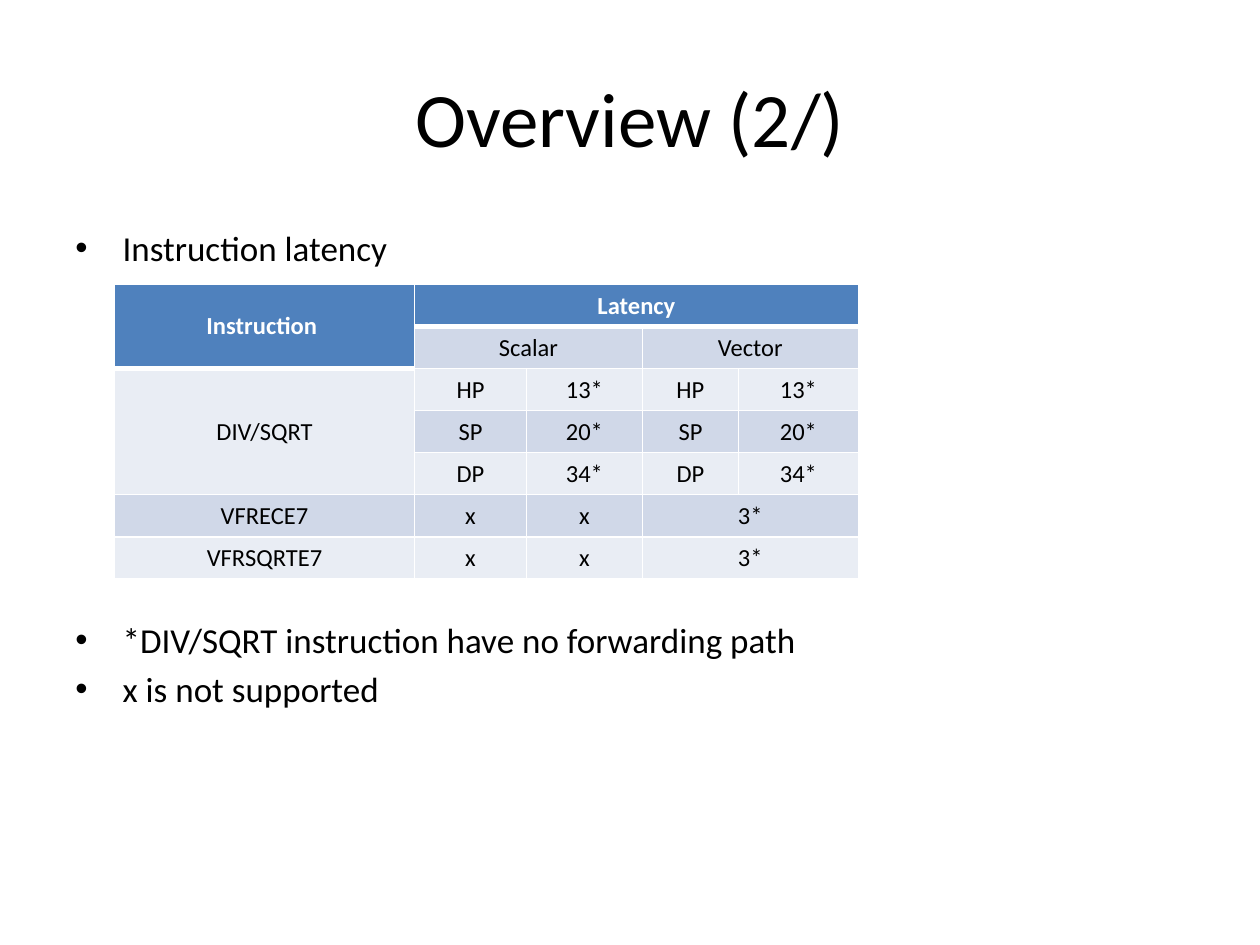
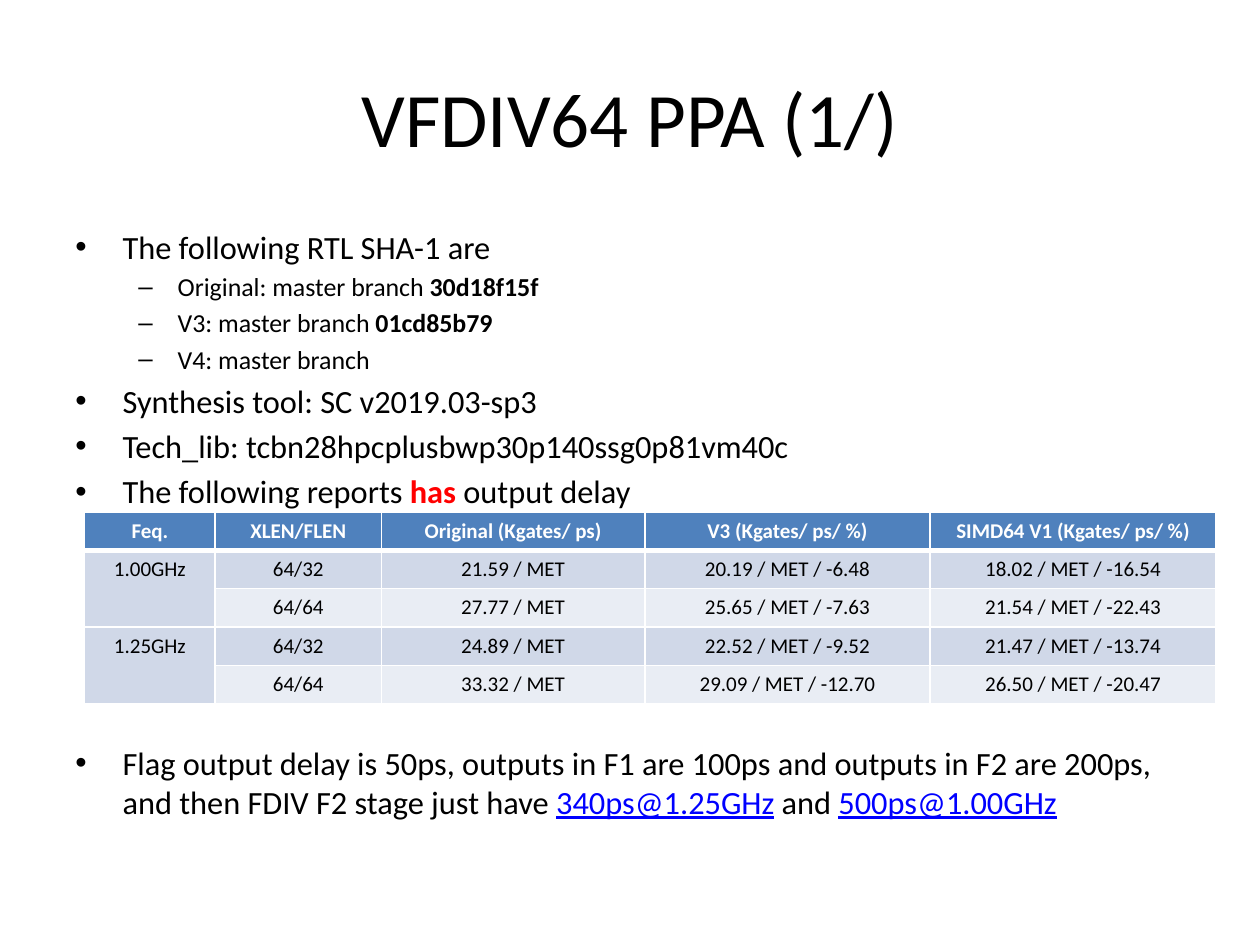
import pptx
import pptx.dml.color
import pptx.enum.text
import pptx.util
import pptx.oxml.ns
from lxml import etree

Pt = pptx.util.Pt
RGBColor = pptx.dml.color.RGBColor
PP_ALIGN = pptx.enum.text.PP_ALIGN
MSO_ANCHOR = pptx.enum.text.MSO_ANCHOR
qn = pptx.oxml.ns.qn

FONT = "Calibri"
BLACK = RGBColor(0x00, 0x00, 0x00)
WHITE = RGBColor(0xFF, 0xFF, 0xFF)
RED = RGBColor(0xFF, 0x00, 0x00)
LINK_BLUE = RGBColor(0x00, 0x00, 0xFF)
HEADER = RGBColor(0x4F, 0x81, 0xBD)
BANDS = (RGBColor(0xE9, 0xED, 0xF4), RGBColor(0xD0, 0xD8, 0xE8))

# Run styles: bold, underline, colour
STYLES = {
    "plain": (False, False, BLACK),
    "bold": (True, False, BLACK),
    "alert": (True, False, RED),
    "link": (False, True, LINK_BLUE),
}
# Per level: bullet, left margin, hanging indent, size factor
LEVELS = (("•", 27, 27, 1), ("–", 58.5, 22.5, 0.8))

# Bullets: level, runs as (text, style); TABLE_GAP leaves room for the table
TABLE_GAP = "table gap"
SLIDES = [
    {
        "title": "Overview (2/)",
        "size": 20,
        "table_gap": 199.6,
        "bullets": [
            (0, [("Instruction latency", "plain")]),
            TABLE_GAP,
            (0, [("*DIV/SQRT instruction have no forwarding path", "plain")]),
            (0, [("x is not supported", "plain")]),
        ],
        "table": {
            "at": (65.5, 162.5),
            "columns": (171.4, 64, 66.2, 55, 68.4),
            "header_height": 24,
            "row_height": 24,
            "size": 14,
            "anchor": MSO_ANCHOR.MIDDLE,
            "rows": [
                ("Instruction ", "Latency", None, None, None),
                (None, "Scalar", None, "Vector", None),
                ("DIV/SQRT", "HP", "13*", "HP", "13*"),
                (None, "SP", "20*", "SP", "20*"),
                (None, "DP", "34*", "DP", "34*"),
                ("VFRECE7", "x", "x", "3*", None),
                ("VFRSQRTE7", "x", "x", "3*", None),
            ],
            # first cell, last cell
            "merges": [
                ((0, 0), (1, 0)), ((0, 1), (0, 4)), ((1, 1), (1, 2)),
                ((1, 3), (1, 4)), ((2, 0), (4, 0)), ((5, 3), (5, 4)),
                ((6, 3), (6, 4)),
            ],
        },
    },
    {
        "title": "VFDIV64 PPA (1/)",
        "size": 18.5,
        "table_gap": 132.8,
        "bullets": [
            (0, [("The following RTL SHA-1 are", "plain")]),
            (1, [("Original: master branch ", "plain"), ("30d18f15f", "bold")]),
            (1, [("V3: master branch ", "plain"), ("01cd85b79", "bold")]),
            (1, [("V4: master branch", "plain")]),
            (0, [("Synthesis tool: SC v2019.03-sp3", "plain")]),
            (0, [("Tech_lib: tcbn28hpcplusbwp30p140ssg0p81vm40c", "plain")]),
            (0, [("The following reports ", "plain"), ("has ", "alert"),
                 ("output delay", "plain")]),
            TABLE_GAP,
            (0, [("Flag output delay is 50ps, outputs in F1 are 100ps and outputs "
                  "in F2 are 200ps, and then FDIV F2 stage just have ", "plain"),
                 ("340ps@1.25GHz", "link"), (" and ", "plain"),
                 ("500ps@1.00GHz", "link")]),
        ],
        "table": {
            "at": (48.4, 292.8),
            "columns": (74.6, 95, 150.6, 163, 163.4),
            "header_height": 21.6,
            "row_height": 22,
            "size": 12,
            "anchor": MSO_ANCHOR.TOP,
            "rows": [
                ("Feq.", "XLEN/FLEN", "Original (Kgates/ ps)",
                 "V3 (Kgates/ ps/ %)", "SIMD64 V1 (Kgates/ ps/ %)"),
                ("1.00GHz", "64/32", "21.59 / MET",
                 "20.19 / MET / -6.48", "18.02 / MET / -16.54"),
                (None, "64/64", "27.77 / MET",
                 "25.65 / MET / -7.63", "21.54 / MET / -22.43"),
                ("1.25GHz", "64/32", "24.89 / MET",
                 "22.52 / MET / -9.52", "21.47 / MET / -13.74"),
                (None, "64/64", "33.32 / MET",
                 "29.09 / MET / -12.70", "26.50 / MET / -20.47"),
            ],
            "merges": [((1, 0), (2, 0)), ((3, 0), (4, 0))],
        },
    },
]


def style_font(font, size, color, bold=False):
    font.name = FONT
    font.size = Pt(size)
    font.bold = bold
    font.color.rgb = color


def add_text_frame(s, top, height):
    tf = s.shapes.add_textbox(Pt(36), Pt(top), Pt(648), Pt(height)).text_frame
    tf.word_wrap = True
    return tf


def add_title(s, text):
    tf = add_text_frame(s, 21.6, 90)
    tf.vertical_anchor = MSO_ANCHOR.MIDDLE
    tf.text = text
    p = tf.paragraphs[0]
    p.alignment = PP_ALIGN.CENTER
    style_font(p.runs[0].font, 44, BLACK)


def set_bullet(p, char, margin, hanging):
    pPr = p._p.get_or_add_pPr()
    pPr.set("marL", str(Pt(margin)))
    pPr.set("indent", str(-Pt(hanging)))
    etree.SubElement(pPr, qn("a:buFont")).set("typeface", "Arial")
    etree.SubElement(pPr, qn("a:buChar")).set("char", char)


def add_bullets(s, bullets, base_size, table_gap):
    tf = add_text_frame(s, 126, 356.4)
    p, after_table = None, False
    for item in bullets:
        if item == TABLE_GAP:
            after_table = True
            continue
        level, runs = item
        char, margin, hanging, factor = LEVELS[level]
        size = base_size * factor
        first = p is None
        p = tf.paragraphs[0] if first else tf.add_paragraph()
        set_bullet(p, char, margin, hanging)
        if not first:
            p.space_before = Pt(table_gap if after_table else 0.2 * size)
        after_table = False
        for text, style in runs:
            bold, underline, color = STYLES[style]
            r = p.add_run()
            r.text = text
            style_font(r.font, size, color, bold)
            r.font.underline = underline


def set_borders(cell, is_header):
    """White grid lines, thicker below the header row."""
    widths = {"L": 1, "R": 1, "T": 1, "B": 3} if is_header else {"L": 1, "R": 1, "B": 1}
    tcPr = cell._tc.get_or_add_tcPr()
    for side, width in widths.items():
        ln = etree.SubElement(tcPr, qn("a:ln" + side), w=str(Pt(width)))
        fill = etree.SubElement(ln, qn("a:solidFill"))
        etree.SubElement(fill, qn("a:srgbClr")).set("val", str(WHITE))


def add_data_table(s, spec):
    rows, columns = spec["rows"], spec["columns"]
    heights = [spec["header_height"]] + [spec["row_height"]] * (len(rows) - 1)
    left, top = spec["at"]
    table = s.shapes.add_table(len(rows), len(columns), Pt(left), Pt(top),
                               Pt(sum(columns)), Pt(sum(heights))).table
    for column, width in zip(table.columns, columns):
        column.width = Pt(width)
    for row, height in zip(table.rows, heights):
        row.height = Pt(height)
    for start, end in spec["merges"]:
        table.cell(*start).merge(table.cell(*end))
    for i, row in enumerate(rows):
        is_header = i == 0
        for j, text in enumerate(row):
            if text is None:
                continue
            cell = table.cell(i, j)
            set_borders(cell, is_header)
            cell.fill.solid()
            cell.fill.fore_color.rgb = HEADER if is_header else BANDS[i % 2]
            cell.vertical_anchor = spec["anchor"]
            cell.text_frame.text = text
            p = cell.text_frame.paragraphs[0]
            p.alignment = PP_ALIGN.CENTER
            style_font(p.runs[0].font, spec["size"],
                       WHITE if is_header else BLACK, is_header)


def main():
    prs = pptx.Presentation()
    prs.slide_width, prs.slide_height = Pt(720), Pt(540)
    for content in SLIDES:
        s = prs.slides.add_slide(prs.slide_layouts[6])
        add_title(s, content["title"])
        add_bullets(s, content["bullets"], content["size"], content["table_gap"])
        add_data_table(s, content["table"])
    prs.save("out.pptx")


if __name__ == "__main__":
    main()
